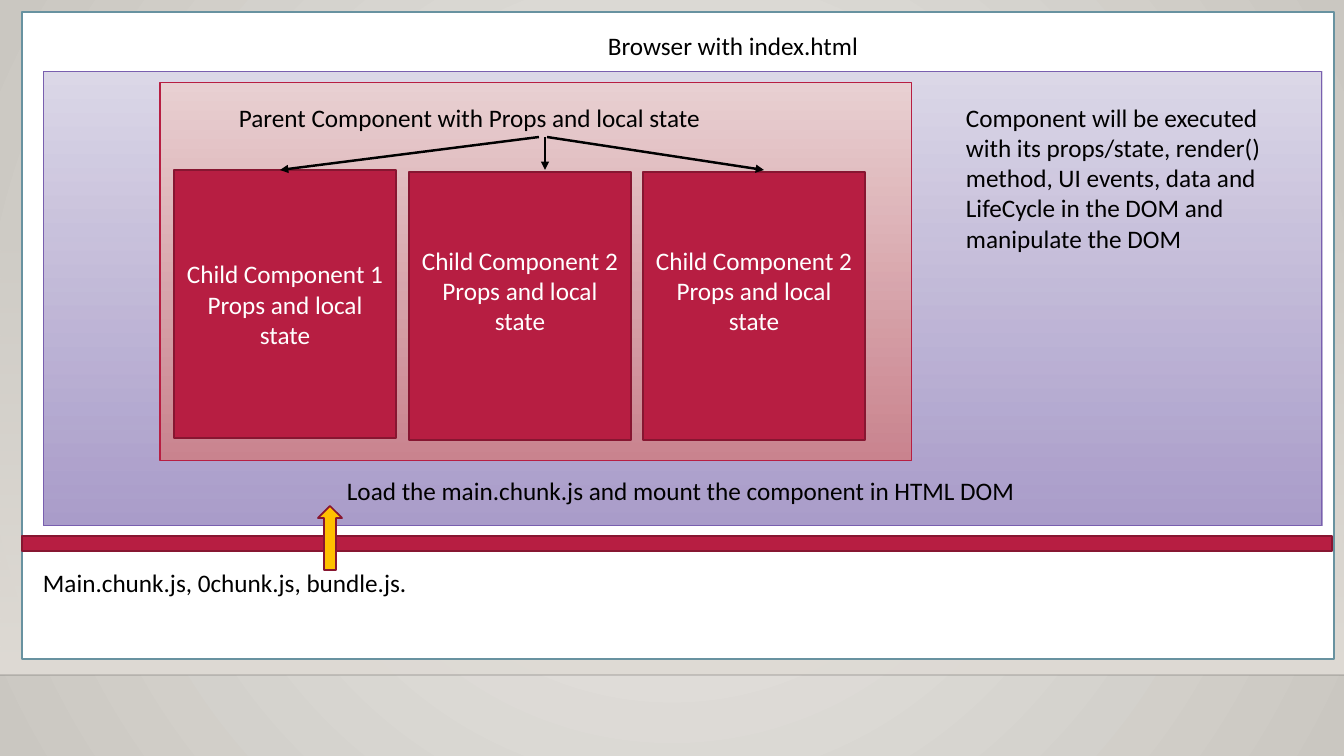
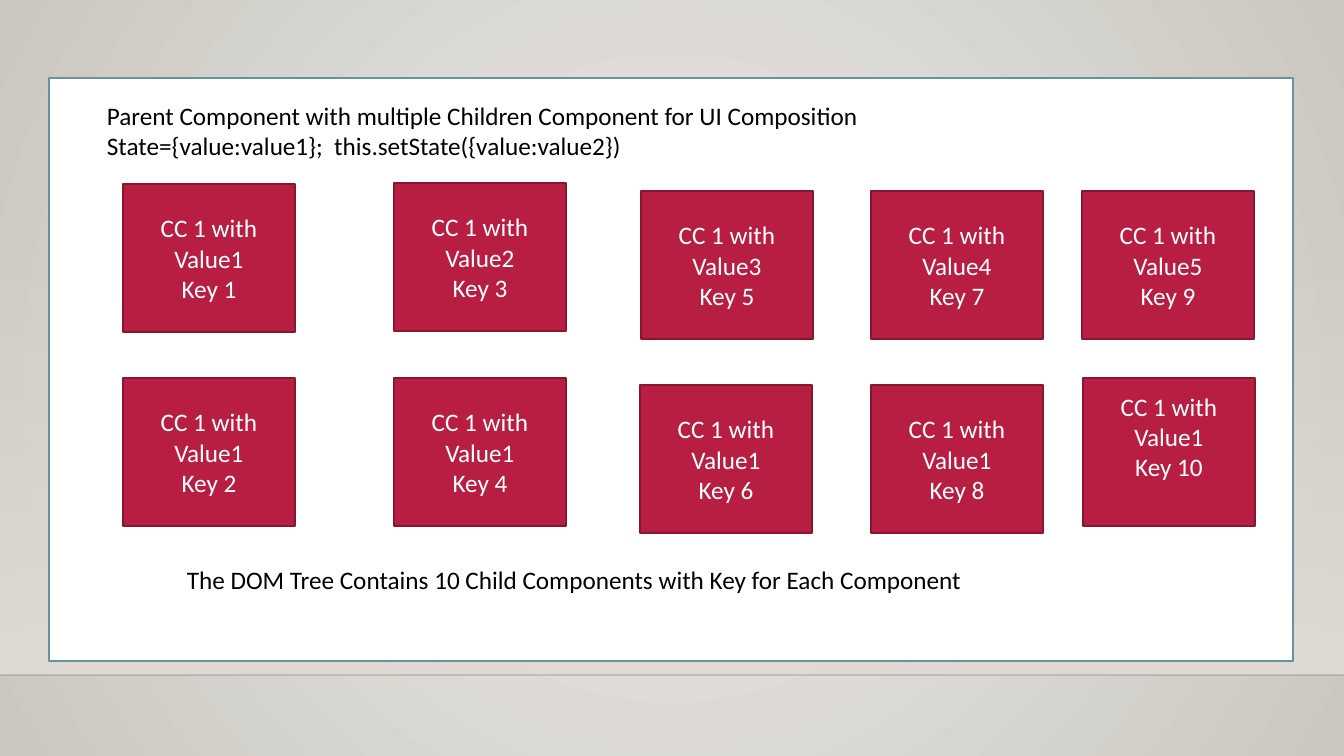
from lxml import etree
from pptx import Presentation
from pptx import util as u
from pptx.dml.color import RGBColor
from pptx.enum import shapes, text
from pptx.oxml.ns import qn

# Shared style
PX = 914400 / 100.8
W, H = 1344, 756
FONT, SIZE = "Calibri", 18
BLACK, WHITE = "000000", "FFFFFF"
RED, DARK_RED, TEAL, AMBER, VIOLET = "B71E42", "871631", "6892A0", "FFC000", "795FAF"
# Gradients: (colour, opacity in percent) from first to last stop
BACKDROP = [("ECEAE7", 100), ("CAC7C1", 100)]
WALL = [("DFDBD5", 0), ("DFDBD5", 100)]
LILAC = [("DCD8E8", 100), ("A395C6", 92)]
ROSE = [("EAD1D3", 100), ("CD828A", 92)]
RECT, UP = shapes.MSO_SHAPE.RECTANGLE, shapes.MSO_SHAPE.UP_ARROW
LEFT, CENTER = text.PP_ALIGN.LEFT, text.PP_ALIGN.CENTER
LINE_HEIGHT = 31

# Slide 1 content: boxes are (left, top, width, height) in px
BROWSER = (22, 12, 1312, 647)
BROWSER_TITLE = ("Browser with index.html", (496, 25, 474, 40))
DIVIDER = (22, 536, 1310, 15)
FILES = ("Main.chunk.js, 0chunk.js, bundle.js.", (33, 562, 829, 40))
DOM = (43, 72, 1279, 454)
LOAD_ARROW = (318, 506, 24, 64)
LOAD = ("Load the main.chunk.js and mount the component in HTML DOM", (337, 470, 727, 40))
PARENT = (160, 83, 752, 378)
PARENT_TITLE = ("Parent Component with Props and local state", (229, 97, 607, 40))
CHILD_SIZE = (222, 268)
CHILDREN = [  # number, left, top, text raised by half a line
    (1, 174, 170, False),
    (2, 409, 172, True),
    (2, 643, 172, True),
]
ARROW_TOP, ARROW_END = 137, 170
ARROWS = [(539, 280), (545, 545), (547, 764)]  # from x, to x
EXECUTION = ("Component will be executed with its props/state, render() method, "
             "UI events, data and LifeCycle in the DOM and manipulate the DOM",
             (956, 97, 335, 163))

# Slide 2 content
TREE = (49, 78, 1244, 583)
TREE_TITLE = ("Parent Component with multiple Children Component for UI Composition\n"
              "State={value:value1};  this.setState({value:value2})", (97, 95, 1179, 71))
CARD_SIZE = (172, 148)
CARD_COLUMNS = [  # corner of the upper card, corner of the lower card
    ((123, 184), (123, 378)),
    ((394, 183), (394, 378)),
    ((641, 191), (640, 385)),
    ((871, 191), (871, 385)),
    ((1082, 191), (1083, 378)),
]
TREE_NOTE = ("The DOM Tree Contains 10 Child Components with Key for Each Component",
             (177, 559, 991, 40))


# Helpers
def px(n):
    return u.Emu(round(n * PX))


def rgb(color):
    return RGBColor.from_string(color)


def set_alpha(clr, percent):
    if percent < 100:
        etree.SubElement(clr, qn("a:alpha")).set("val", str(percent * 1000))


def set_gradient(fill, element, stops, angle=270):
    fill.gradient()
    fill.gradient_angle = angle
    for stop, (color, _) in zip(fill.gradient_stops, stops):
        stop.color.rgb = rgb(color)
    grad = next(element.iter(qn("a:gradFill")))
    for clr, (_, opacity) in zip(grad.iter(qn("a:srgbClr")), stops):
        set_alpha(clr, opacity)
    return grad


def write(tf, content, color, align):
    tf.text = content
    tf.word_wrap = True
    for p in tf.paragraphs:
        p.alignment = align
        for r in p.runs:
            r.font.name, r.font.size = FONT, u.Pt(SIZE)
            r.font.color.rgb = rgb(color)


def add_box(s, box, fill, line=None, width=1.25, kind=RECT):
    sp = s.shapes.add_shape(kind, *map(px, box))
    sp.shadow.inherit = False
    if isinstance(fill, list):
        set_gradient(sp.fill, sp.element, fill)
    else:
        sp.fill.solid()
        sp.fill.fore_color.rgb = rgb(fill)
    if line:
        sp.line.color.rgb = rgb(line)
        sp.line.width = u.Pt(width)
    else:
        sp.line.fill.background()
    return sp


def add_card(s, box, content, raised=False):
    tf = add_box(s, box, RED, DARK_RED).text_frame
    tf.vertical_anchor = text.MSO_ANCHOR.MIDDLE
    write(tf, content, WHITE, CENTER)
    if raised:
        tf.margin_bottom = px(5 + LINE_HEIGHT)


def add_label(s, label, align=LEFT):
    content, box = label
    tf = s.shapes.add_textbox(*map(px, box)).text_frame
    write(tf, content, BLACK, align)


def add_line(s, x1, y1, x2, y2, color, width, opacity=100, arrow=False):
    c = s.shapes.add_connector(shapes.MSO_CONNECTOR.STRAIGHT, *map(px, (x1, y1, x2, y2)))
    c.line.color.rgb = rgb(color)
    c.line.width = u.Pt(width)
    ln = c.line._get_or_add_ln()
    set_alpha(next(ln.iter(qn("a:srgbClr"))), opacity)
    if arrow:
        etree.SubElement(ln, qn("a:tailEnd")).set("type", "triangle")
    etree.SubElement(c.element.spPr, qn("a:effectLst"))


def set_backdrop(master):
    grad = set_gradient(master.background.fill, master.element, BACKDROP)
    grad.remove(grad.find(qn("a:lin")))
    radial = etree.SubElement(grad, qn("a:path"))
    radial.set("path", "circle")
    center = etree.SubElement(radial, qn("a:fillToRect"))
    for side in "ltrb":
        center.set(side, "50000")


def add_slide(prs):
    s = prs.slides.add_slide(prs.slide_layouts[6])
    add_box(s, (0, 223, W, 452), WALL)
    add_line(s, 0, 675, W, 675, "000001", 1, opacity=20)
    return s


# Slides
def build_browser(prs):
    s = add_slide(prs)
    add_box(s, BROWSER, WHITE, TEAL)
    add_label(s, BROWSER_TITLE, CENTER)
    add_box(s, DIVIDER, RED, DARK_RED)
    add_label(s, FILES)
    add_box(s, DOM, LILAC, VIOLET, 0.75)
    add_box(s, LOAD_ARROW, AMBER, DARK_RED, kind=UP)
    add_label(s, LOAD)
    add_box(s, PARENT, ROSE, RED, 0.75)
    add_label(s, PARENT_TITLE)
    for number, x, y, raised in CHILDREN:
        add_card(s, (x, y, *CHILD_SIZE),
                 f"Child Component {number}\nProps and local state", raised)
    for x1, x2 in ARROWS:
        add_line(s, x1, ARROW_TOP, x2, ARROW_END, BLACK, 1.75, arrow=True)
    add_label(s, EXECUTION)


def build_tree(prs):
    s = add_slide(prs)
    add_box(s, TREE, WHITE, TEAL)
    add_label(s, TREE_TITLE)
    last_key = 2 * len(CARD_COLUMNS)
    for i, column in enumerate(CARD_COLUMNS):
        for row, corner in enumerate(column):
            key = 2 * i + row + 1
            value = 1 if row else i + 1
            add_card(s, (*corner, *CARD_SIZE),
                     f"CC 1 with Value{value}\nKey {key}", key == last_key)
    add_label(s, TREE_NOTE)


def main():
    prs = Presentation()
    prs.slide_width, prs.slide_height = px(W), px(H)
    set_backdrop(prs.slide_master)
    build_browser(prs)
    build_tree(prs)
    prs.save("out.pptx")


if __name__ == "__main__":
    main()
